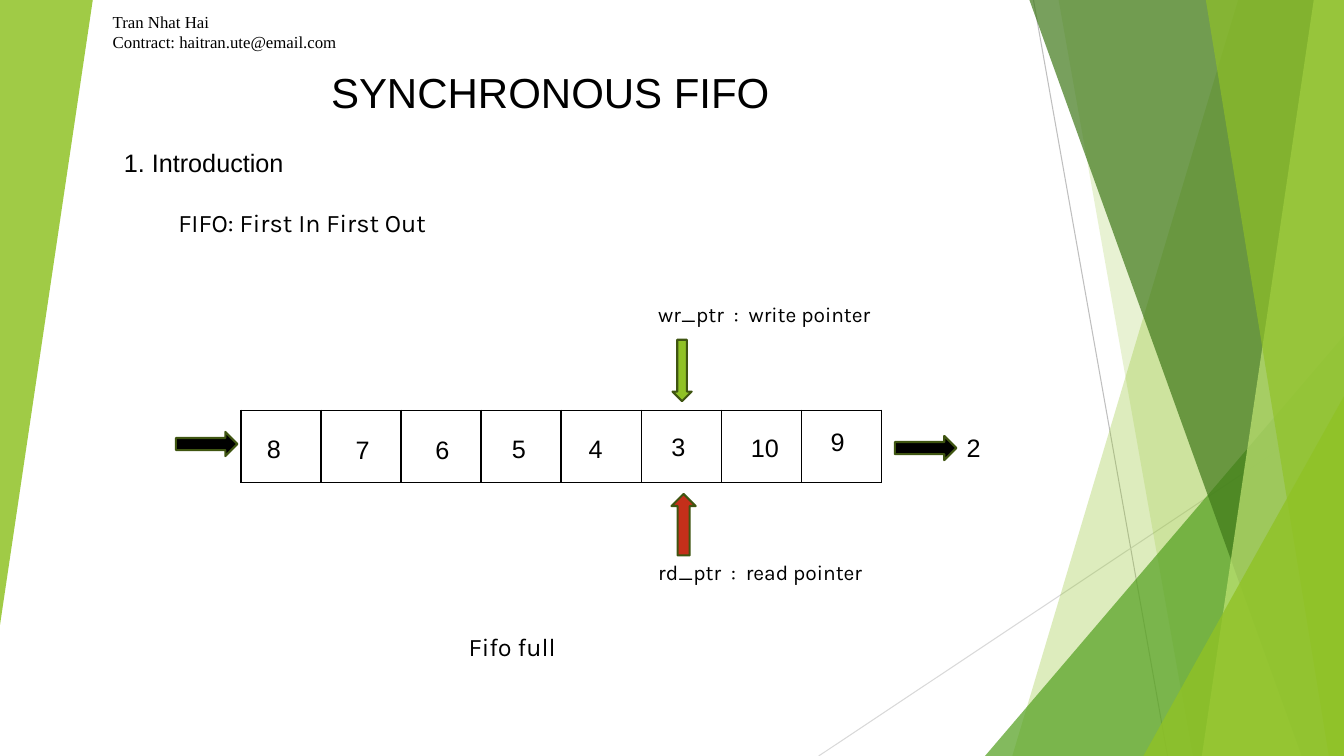
from lxml import etree
from pptx import Presentation
from pptx.dml.color import RGBColor
from pptx.enum.shapes import MSO_CONNECTOR, MSO_SHAPE
from pptx.enum.text import PP_ALIGN
from pptx.oxml.ns import qn
from pptx.util import Inches, Pt

BLACK = RGBColor(0x00, 0x00, 0x00)
LIME = RGBColor(0x90, 0xC2, 0x26)
GREEN = RGBColor(0x54, 0xA0, 0x21)
FOREST = RGBColor(0x3F, 0x78, 0x19)
PALE_LIME = RGBColor(0xC0, 0xE4, 0x74)
OLIVE = RGBColor(0x3F, 0x55, 0x11)
RED = RGBColor(0xC4, 0x2F, 0x1A)
GREY = RGBColor(0xBF, 0xBF, 0xBF)
LIGHT_GREY = RGBColor(0xD9, 0xD9, 0xD9)

WIDTH, HEIGHT = 13.33, 7.5

# Background: x1, y1, x2, y2, colour
RAYS = [(10.25, 0, 11.58, HEIGHT, GREY), (WIDTH, 4.03, 8.12, HEIGHT, LIGHT_GREY)]
# Bands reach the right edge: top-left x, bottom-left x, colour, opacity %
BACK_BANDS = [(12.28, 10.04, LIME, 30), (10.5, 11.83, LIME, 20)]
FRONT_BANDS = [(10.21, 12.91, FOREST, 70), (13.03, 11.92, PALE_LIME, 70),
               (11.96, 13.18, LIME, 65)]
# Wedges: left, top, width, height, rotation, colour, opacity %
BACK_WEDGE = (9.77, 3.33, 3.56, 4.17, 0, GREEN, 72)
FRONT_WEDGES = [(11.34, 3.93, 1.99, 3.57, 0, LIME, 80),
                (0, 0, 0.92, 6.2, 180, LIME, 85)]

# Queue: left, top, width, height, number of slots
QUEUE = (2.39, 4.07, 6.35, 0.72, 8)
# Value, left and top of its label
VALUES = [("8", 2.55, 4.25), ("7", 3.43, 4.26), ("6", 4.22, 4.26), ("5", 4.98, 4.25),
          ("4", 5.74, 4.25), ("3", 6.56, 4.23), ("10", 7.35, 4.24), ("9", 8.14, 4.18),
          ("2", 9.49, 4.24)]
# Arrows: left, top, width, rotation, colour
ARROW_LENGTH = 0.61
ARROWS = [(6.67, 3.37, 0.19, 0, LIME), (6.66, 4.9, 0.24, 180, RED),
          (1.93, 4.1, 0.24, 270, BLACK), (9.06, 4.14, 0.24, 270, BLACK)]

# Text: lines, left, top, width, height, size, font, alignment
LEFT, CENTER = PP_ALIGN.LEFT, PP_ALIGN.CENTER
TEXTS = [
    (["SYNCHRONOUS FIFO"], 2.18, 0.61, 6.56, 0.61, 30, "Arial", CENTER),
    (["1. Introduction"], 1.13, 1.41, 1.92, 0.4, 18, "Arial", LEFT),
    (["FIFO: First In First Out"], 1.67, 2.01, 5.46, 0.4, 18, "Karla", LEFT),
    (["wr_ptr  :  write pointer"], 6.43, 2.94, 2.43, 0.35, 15, "Karla", LEFT),
    (["rd_ptr  :  read pointer"], 6.43, 5.5, 2.63, 0.35, 15, "Karla", LEFT),
    (["Fifo full"], 4.55, 6.21, 1.62, 0.4, 18, "Karla", LEFT),
    (["Tran Nhat Hai", "Contract: haitran.ute@email.com"],
     1.02, 0.07, 2.73, 0.5, 12, "Times New Roman", LEFT),
]

prs = Presentation()
prs.slide_width, prs.slide_height = Inches(WIDTH), Inches(HEIGHT)
slide = prs.slides.add_slide(prs.slide_layouts[6])
shapes = slide.shapes


def box(*lengths):
    return [Inches(length) for length in lengths]


def paint(shape, colour, opacity=100):
    shape.shadow.inherit = False
    shape.fill.solid()
    shape.fill.fore_color.rgb = colour
    shape.line.fill.background()
    if opacity < 100:
        tint = shape.fill._xPr.find(qn("a:solidFill"))[0]
        etree.SubElement(tint, qn("a:alpha"), val=str(opacity * 1000))


def add_band(top_x, bottom_x, colour, opacity):
    builder = shapes.build_freeform(Inches(top_x), 0)
    corners = [(WIDTH, 0), (WIDTH, HEIGHT), (bottom_x, HEIGHT)]
    builder.add_line_segments([box(*corner) for corner in corners], close=True)
    paint(builder.convert_to_shape(), colour, opacity)


def add_wedge(left, top, width, height, rotation, colour, opacity):
    wedge = shapes.add_shape(MSO_SHAPE.ISOSCELES_TRIANGLE, *box(left, top, width, height))
    wedge.adjustments[0] = 1
    wedge.rotation = rotation
    paint(wedge, colour, opacity)


def add_text(lines, left, top, width, height, size, font, align):
    frame = shapes.add_textbox(*box(left, top, width, height)).text_frame
    frame.word_wrap = True
    paragraph = frame.paragraphs[0]
    paragraph.alignment = align
    for i, line in enumerate(lines):
        if i:
            paragraph.add_line_break()
        run = paragraph.add_run()
        run.text = line
        run.font.size, run.font.name = Pt(size), font
        run.font.color.rgb = BLACK


# Background
for x1, y1, x2, y2, colour in RAYS:
    ray = shapes.add_connector(MSO_CONNECTOR.STRAIGHT, *box(x1, y1, x2, y2))
    ray.line.color.rgb, ray.line.width = colour, Pt(0.75)
    etree.SubElement(ray._element.spPr, qn("a:effectLst"))
for band in BACK_BANDS:
    add_band(*band)
add_wedge(*BACK_WEDGE)
for band in FRONT_BANDS:
    add_band(*band)
for wedge in FRONT_WEDGES:
    add_wedge(*wedge)

# Queue
*queue_box, slots = QUEUE
queue = shapes.add_table(1, slots, *box(*queue_box)).table
queue.first_row = queue.horz_banding = False
for slot in queue.iter_cells():
    props = slot._tc.get_or_add_tcPr()
    for side in ("lnL", "lnR", "lnT", "lnB"):
        border = etree.SubElement(props, qn(f"a:{side}"), w=str(Pt(1)))
        fill = etree.SubElement(border, qn("a:solidFill"))
        etree.SubElement(fill, qn("a:srgbClr"), val=str(BLACK))
    slot.fill.background()

# Arrows
for left, top, width, rotation, colour in ARROWS:
    arrow = shapes.add_shape(MSO_SHAPE.DOWN_ARROW, *box(left, top, width, ARROW_LENGTH))
    arrow.rotation = rotation
    paint(arrow, colour)
    arrow.line.color.rgb, arrow.line.width = OLIVE, Pt(1.5)

# Text and queue values
for text in TEXTS:
    add_text(*text)
for value, left, top in VALUES:
    add_text([value], left, top, 0.2 + 0.17 * len(value), 0.4, 18, "Arial", LEFT)

prs.save("out.pptx")
